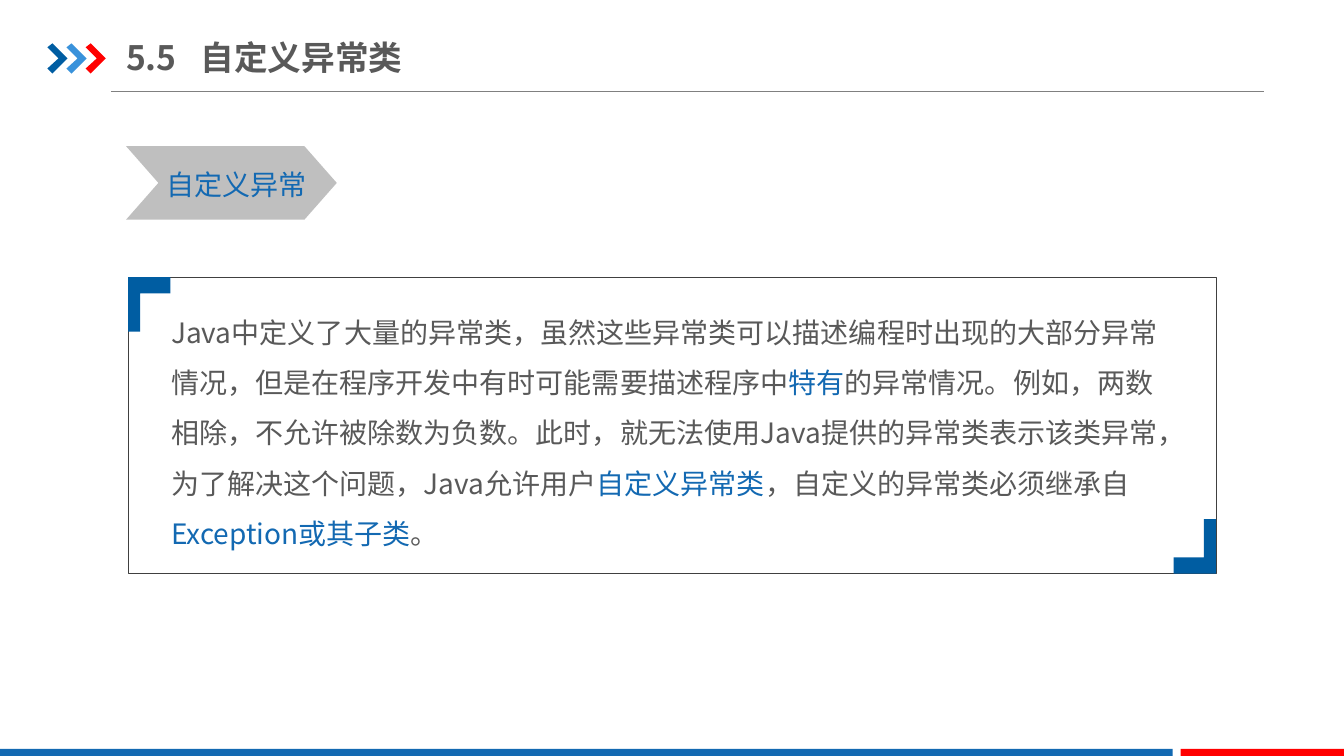
from dataclasses import dataclass
from typing import Any, NamedTuple

from lxml.etree import SubElement
from pptx import Presentation
from pptx.dml.color import RGBColor
from pptx.enum.lang import MSO_LANGUAGE_ID
from pptx.enum.shapes import MSO_CONNECTOR, MSO_SHAPE
from pptx.enum.text import MSO_ANCHOR, MSO_AUTO_SIZE, PP_ALIGN
from pptx.oxml.ns import qn
from pptx.util import Emu, Pt

PX = 9144  # 100 px to the inch


@dataclass(frozen=True)
class Theme:
    font: str = "Noto Sans CJK SC"
    navy: str = "005DA2"
    sky: str = "3992DB"
    blue: str = "1369B2"
    red: str = "FF0000"
    text: str = "595959"
    rule: str = "808080"
    border: str = "404040"
    banner: str = "BFBFBF"
    title_size: int = 24
    body_size: int = 20


class Box(NamedTuple):
    left: int
    top: int
    width: int
    height: int

    def emu(self) -> list[Emu]:
        return [Emu(value * PX) for value in self]


class Span(NamedTuple):
    text: str
    color: str


class Panel(NamedTuple):
    box: Box
    preset: MSO_SHAPE
    fill: str | None
    adjustment: float | None = None
    border: str | None = None


class Outline(NamedTuple):
    origin: tuple[int, int]
    points: list[tuple[int, int]]
    color: str
    direction: int = 1  # -1 turns the outline by half a turn


THEME = Theme()


def apply(target: Any, formats: dict[str, Any]) -> None:
    for name, value in formats.items():
        setattr(target, name, value)


def paint(shape: Any, fill: str | None, border: str | None = None) -> None:
    shape.shadow.inherit = False
    if fill:
        shape.fill.solid()
        shape.fill.fore_color.rgb = RGBColor.from_string(fill)
    else:
        shape.fill.background()
    if border:
        shape.line.color.rgb = RGBColor.from_string(border)
        shape.line.width = Pt(0.25)
    else:
        shape.line.fill.background()


def add_panel(shapes: Any, panel: Panel) -> None:
    shape = shapes.add_shape(panel.preset, *panel.box.emu())
    if panel.adjustment is not None:
        shape.adjustments[0] = panel.adjustment
    paint(shape, panel.fill, panel.border)


def add_outline(shapes: Any, outline: Outline) -> None:
    x, y = outline.origin
    corners = [(x + outline.direction * dx, y + outline.direction * dy)
               for dx, dy in outline.points]
    builder = shapes.build_freeform(*corners[0], scale=PX)
    builder.add_line_segments(corners[1:], close=True)
    paint(builder.convert_to_shape(), outline.color)


def write(paragraph: Any, spans: list[Span], size: int, bold: bool = False) -> None:
    for span in spans:
        run = paragraph.add_run()
        run.text = span.text
        apply(run.font, {"name": THEME.font, "size": Pt(size), "bold": bold,
                         "language_id": MSO_LANGUAGE_ID.SIMPLIFIED_CHINESE})
        run.font.color.rgb = RGBColor.from_string(span.color)
        SubElement(run.font._element, qn("a:ea"), typeface=THEME.font)


def add_text(shapes: Any, box: Box, spans: list[Span], wrap: bool,
             spacing: float) -> None:
    frame = shapes.add_textbox(*box.emu()).text_frame
    frame.word_wrap = wrap
    paragraph = frame.paragraphs[0]
    paragraph.line_spacing = spacing
    write(paragraph, spans, THEME.body_size)


def fill_title(title: Any) -> None:
    apply(title, dict(zip(("left", "top", "width", "height"),
                          Box(125, 29, 499, 55).emu())))
    frame = title.text_frame
    apply(frame, {"margin_left": 0, "margin_right": 0, "word_wrap": True,
                  "auto_size": MSO_AUTO_SIZE.NONE,
                  "vertical_anchor": MSO_ANCHOR.MIDDLE})
    paragraph = frame.paragraphs[0]
    paragraph.alignment = PP_ALIGN.LEFT
    # A tab stop sets the gap between section number and heading
    tabs = SubElement(paragraph._p.get_or_add_pPr(), qn("a:tabLst"))
    SubElement(tabs, qn("a:tab"), pos=str(74 * PX), algn="l")
    write(paragraph, [Span("5.5\t自定义异常类", THEME.text)], THEME.title_size, True)


def add_header_rule(shapes: Any) -> None:
    rule = shapes.add_connector(MSO_CONNECTOR.STRAIGHT,
                                *Box(110, 91, 1254, 91).emu())
    rule.line.color.rgb = RGBColor.from_string(THEME.rule)
    rule.line.width = Pt(0.75)
    SubElement(rule._element.spPr, qn("a:effectLst"))


ARROW = [(0, 4), (5, 0), (20, 15), (5, 30), (0, 25), (11, 15)]
CORNER = [(0, 0), (42, 0), (42, 16), (12, 16), (12, 54), (0, 54)]
CARD = Box(127, 275, 1079, 294)

HEADER_ARROWS = [Outline((47 + 19 * index, 43), ARROW, color)
                 for index, color in enumerate((THEME.navy, THEME.sky, THEME.red))]
CARD_CORNERS = [
    Outline((CARD.left, CARD.top), CORNER, THEME.navy),
    Outline((CARD.left + CARD.width, CARD.top + CARD.height), CORNER, THEME.navy, -1),
]
PANELS = [
    Panel(Box(0, 743, 1163, 7), MSO_SHAPE.RECTANGLE, THEME.blue),
    Panel(Box(1171, 743, 162, 7), MSO_SHAPE.RECTANGLE, THEME.red),
    Panel(Box(125, 145, 209, 73), MSO_SHAPE.CHEVRON, THEME.banner, 0.44),
    Panel(CARD, MSO_SHAPE.ROUNDED_RECTANGLE, None, 0, THEME.border),
]
EXPLANATION = [
    Span("Java中定义了大量的异常类，虽然这些异常类可以描述编程时出现的大部分异常情况，"
         "但是在程序开发中有时可能需要描述程序中", THEME.text),
    Span("特有", THEME.blue),
    Span("的异常情况。例如，两数相除，不允许被除数为负数。此时，就无法使用Java提供的"
         "异常类表示该类异常，为了解决这个问题，Java允许用户", THEME.text),
    Span("自定义异常类", THEME.blue),
    Span("，自定义的异常类必须继承自", THEME.text),
    Span("Exception或其子类", THEME.blue),
    Span("。", THEME.text),
]


def main() -> None:
    deck = Presentation()
    apply(deck, {"slide_width": Emu(1333 * PX), "slide_height": Emu(750 * PX)})
    shapes = deck.slides.add_slide(deck.slide_layouts[5]).shapes

    # Header
    fill_title(shapes.title)
    add_header_rule(shapes)

    # Banner, card and footer bars, then the header arrows and card corners
    for panel in PANELS:
        add_panel(shapes, panel)
    for outline in HEADER_ARROWS + CARD_CORNERS:
        add_outline(shapes, outline)

    # Banner label and explanation
    add_text(shapes, Box(155, 161, 159, 44), [Span("自定义异常", THEME.blue)], False, 1.0)
    add_text(shapes, Box(160, 291, 1013, 262), EXPLANATION, True, 1.5)

    deck.save("out.pptx")


if __name__ == "__main__":
    main()
